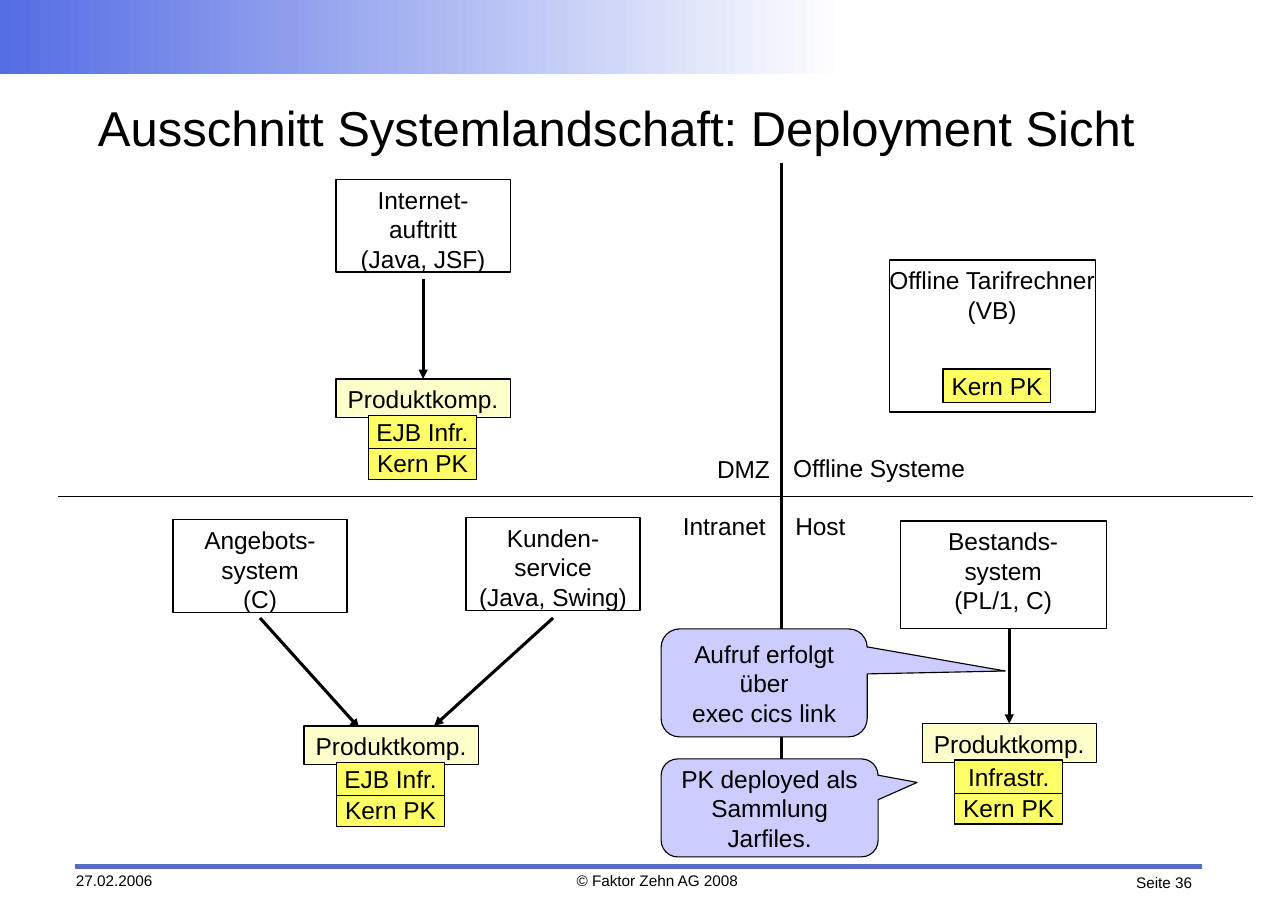
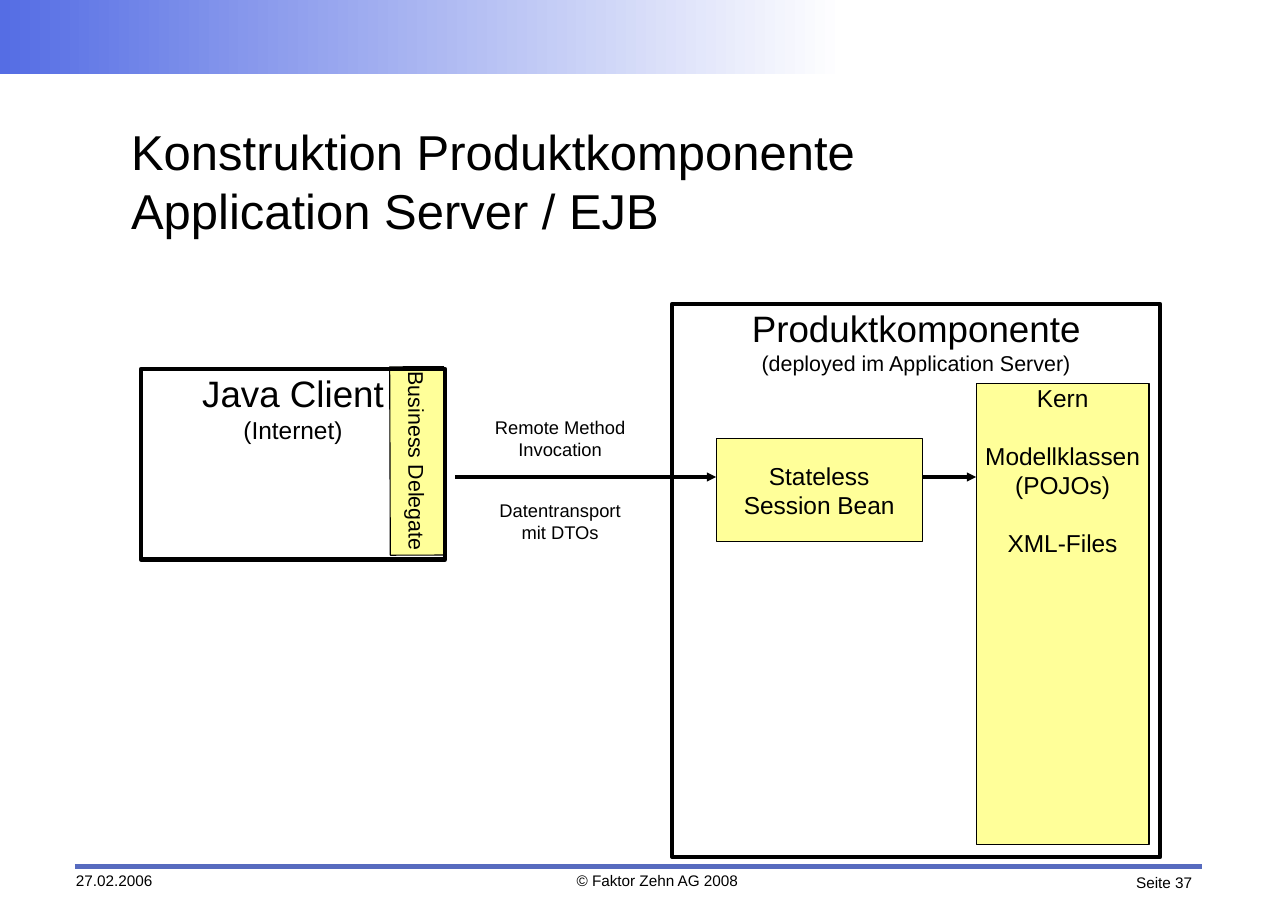
import pptx
import pptx.dml.color
import pptx.enum.shapes
import pptx.enum.text
import pptx.oxml.ns
import pptx.util
import lxml.etree

RGB = pptx.dml.color.RGBColor
BLACK = RGB(0x00, 0x00, 0x00)
WHITE = RGB(0xFF, 0xFF, 0xFF)
BLUE = RGB(0x55, 0x6D, 0xE4)
RULE = RGB(0x57, 0x6B, 0xBF)
LILAC = RGB(0xCC, 0xCC, 0xFF)
CREAM = RGB(0xFF, 0xFF, 0xCC)
YELLOW = RGB(0xFF, 0xFF, 0x66)
PALE = RGB(0xFF, 0xFF, 0x99)

FONT = "Arial"
WIDE, HIGH = 11.69, 8.27
HAIR, THIN, THICK = 0, 0.75, 2.83
PAD, SLIM, NONE = (0.1, 0.05), (0.02, 0.02), (0, 0)

KIND = pptx.enum.shapes.MSO_SHAPE
LEFT = pptx.enum.text.PP_ALIGN.LEFT
MID = pptx.enum.text.PP_ALIGN.CENTER
RIGHT = pptx.enum.text.PP_ALIGN.RIGHT
TOP = pptx.enum.text.MSO_ANCHOR.TOP
CORE = pptx.enum.text.MSO_ANCHOR.MIDDLE


# All places and sizes are percent of the slide's width and height
def across(share):
    return pptx.util.Inches(share * WIDE / 100)


def down(share):
    return pptx.util.Inches(share * HIGH / 100)


def frame(box):
    x, y, w, h = box
    return across(x), down(y), across(w), down(h)


def within(box, x, y, w, h):
    return box[0] + x, box[1] + y, w, h


def write(shape, lines, size=16, align=MID, anchor=TOP, pad=NONE, wrap=True):
    """Fill a shape; a line is a text or (text, size, space before)."""
    text = shape.text_frame
    text.word_wrap = wrap
    text.vertical_anchor = anchor
    text.margin_left = text.margin_right = pptx.util.Inches(pad[0])
    text.margin_top = text.margin_bottom = pptx.util.Inches(pad[1])
    for num, line in enumerate(lines):
        words, points, gap = (line, size, 0) if isinstance(line, str) else line
        para = text.paragraphs[0] if num == 0 else text.add_paragraph()
        para.text = words
        para.alignment = align
        para.font.name = FONT
        para.font.size = pptx.util.Pt(points)
        para.font.color.rgb = BLACK
        if gap:
            para.space_before = pptx.util.Pt(gap)


def label(slide, box, lines, **style):
    write(slide.shapes.add_textbox(*frame(box)), lines, **style)


def block(slide, box, lines, fill=None, line=HAIR, kind=KIND.RECTANGLE, **style):
    shape = slide.shapes.add_shape(kind, *frame(box))
    shape.shadow.inherit = False
    if fill is None:
        shape.fill.background()
    else:
        shape.fill.solid()
        shape.fill.fore_color.rgb = fill
    shape.line.color.rgb = BLACK
    shape.line.width = pptx.util.Pt(line)
    write(shape, lines, **style)
    return shape


def stroke(slide, start, end, color=BLACK, width=HAIR, head=False, goal=None):
    """Draw a line; goal is a block whose top centre it joins."""
    line = slide.shapes.add_connector(
        pptx.enum.shapes.MSO_CONNECTOR.STRAIGHT,
        across(start[0]), down(start[1]), across(end[0]), down(end[1]))
    line.line.color.rgb = color
    line.line.width = pptx.util.Pt(width)
    name = pptx.oxml.ns.qn
    props = line._element.spPr
    if head:
        lxml.etree.SubElement(props.find(name("a:ln")), name("a:tailEnd"), type="triangle")
    lxml.etree.SubElement(props, name("a:effectLst"))
    if goal is not None:
        line.end_connect(goal, 0)


# Shared parts: band, rule, footer and title
def base(deck, page, box, title):
    slide = deck.slides.add_slide(deck.slide_layouts[6])
    band = slide.shapes.add_shape(KIND.RECTANGLE, *frame((0, 0, 65.6, 8.1)))
    band.shadow.inherit = False
    band.line.fill.background()
    band.fill.gradient()
    band.fill.gradient_angle = 0
    for stop, color in zip(band.fill.gradient_stops, (BLUE, WHITE)):
        stop.color.rgb = color
    stroke(slide, (5.82, 95.1), (93.33, 95.1), RULE, THICK)
    for place, words, align in (
            ((5.9, 95.65, 10, 2.4), "27.02.2006", LEFT),
            ((44.14, 95.65, 13.77, 2.4), "© Faktor Zehn AG 2008", MID),
            ((86.55, 95.9, 6, 2.4), f"Seite {page}", RIGHT)):
        label(slide, place, [words], size=10, align=align)
    label(slide, box, title, size=32, align=LEFT, anchor=CORE)
    return slide


# Four zones split by a cross, each named next to the crossing
def zones(slide, box):
    x, y, w, h = box
    mid_x, mid_y = x + 56.12, y + 36.63
    stroke(slide, (x, mid_y), (x + w, mid_y), width=THIN)
    stroke(slide, (mid_x, y), (mid_x, y + h))
    for name, dx, dy, wide in (
            ("Intranet", -8.47, 0.97, 8.73), ("DMZ", -5.82, -5.32, 6.24),
            ("Host", 0.26, 0.97, 15.83), ("Offline Systeme", 0.09, -5.44, 15.83)):
        label(slide, (mid_x + dx, mid_y + dy, wide, 4.23), [name],
              align=LEFT, pad=PAD, wrap=False)


def system(slide, box, lines):
    block(slide, box, lines, line=THIN, pad=PAD, wrap=False)


def kernel(slide, box, name="Kern PK"):
    block(slide, box, [name], YELLOW, anchor=CORE, wrap=False)


# Product component: head with two layers hanging below it
def stack(slide, box, infra):
    head = block(slide, within(box, 0, 0, box[2], 4.23), ["Produktkomp."],
                 CREAM, THIN, pad=PAD, wrap=False)
    for name, dy in (("Kern PK", 7.38), (infra, 3.99)):
        kernel(slide, within(box, 2.53, dy, 8.38, 3.63), name)
    return head


def bubble(slide, box, lines, tip):
    shape = block(slide, box, lines, LILAC,
                  kind=KIND.ROUNDED_RECTANGULAR_CALLOUT, anchor=CORE)
    for num, value in enumerate((*tip, 0.17)):
        shape.adjustments[num] = value


def deploy(deck):
    slide = base(deck, 36, (7.61, 9.55, 85.03, 8.71),
                 ["Ausschnitt Systemlandschaft: Deployment Sicht"])
    zones(slide, (4.53, 17.9, 92.73, 76.17))
    for box, lines in (
            ((13.43, 57.07, 13.52, 10.16), ["Angebots-", "system", "(C)"]),
            ((26.09, 19.71, 13.52, 10.16), ["Internet-", "auftritt", "(Java, JSF)"]),
            ((36.18, 56.83, 13.52, 10.16), ["Kunden-", "service", "(Java, Swing)"]),
            ((69.89, 57.19, 16, 11.85), ["Bestands-", "system", "(PL/1, C)"]),
            ((69.03, 28.54, 16, 16.69), ["Offline Tarifrechner", "(VB)"])):
        system(slide, box, lines)
    kernel(slide, (73.22, 40.51, 8.38, 3.63))

    # Calls into the components
    stroke(slide, (20.19, 67.84), (27.89, 79.93), head=True)
    stroke(slide, (42.94, 67.84), (33.7, 79.69), head=True)
    stack(slide, (23.61, 79.69, 13.52, 11), "EJB Infr.")
    web = stack(slide, (26.09, 41.6, 13.52, 11), "EJB Infr.")
    host = stack(slide, (71.6, 79.44, 13.52, 11), "Infrastr.")
    stroke(slide, (32.85, 30.59), (32.85, 41.6), head=True, goal=web)
    stroke(slide, (78.36, 69.04), (78.36, 79.44), head=True, goal=host)

    # Remarks
    bubble(slide, (51.33, 69.04, 16, 11.85),
           ["Aufruf erfolgt über", "exec cics link"], (1.17, -0.11))
    bubble(slide, (51.33, 83.31, 16.85, 10.76),
           ["PK deployed als", "Sammlung Jarfiles."], (0.68, -0.26))


# Client with its delegate turned upright at the right edge
def client(slide, box):
    side = block(slide, within(box, 14.11, 7.13, 14.63, 5.93),
                 ["Business Delegate"], PALE, size=14, anchor=CORE, wrap=False)
    side.rotation = 89.8
    block(slide, box, ["Java Client", ("(Internet)", 16, 0)],
          line=THICK, size=24, pad=SLIM)


# Component with session bean and kernel classes
def server(slide, box):
    block(slide, box, ["Produktkomponente", ("(deployed im Application Server)", 14, 0)],
          line=THICK, size=24, pad=SLIM)
    block(slide, within(box, 23.61, 8.71, 13.43, 50.67),
          ["Kern", ("Modellklassen", 16, 18.4), "(POJOs)", ("XML-Files", 16, 18.4)],
          PALE)
    block(slide, within(box, 3.42, 14.76, 16, 11.37),
          ["Stateless", "Session Bean"], PALE, anchor=CORE)
    y = box[1] + 18.99
    stroke(slide, (box[0] + 19.42, y), (box[0] + 23.61, y), head=True)


# Remote call: arrow with a remark above and below
def remote(slide, box):
    x, y, w, h = box
    mid = y + h / 2
    stroke(slide, (x, mid), (x + w, mid), head=True)
    label(slide, (x + 2.91, y, 10.52, 4.72), ["Remote Method Invocation"], size=12)
    label(slide, (x + 2.91, mid + 2.42, 10.52, 4.72),
          ["Datentransport", "mit DTOs"], size=12)


def build(deck):
    slide = base(deck, 37, (10.18, 11.49, 79.64, 16.57),
                 ["Konstruktion Produktkomponente", "Application Server / EJB"])
    server(slide, (52.18, 33.37, 37.9, 60.7))
    client(slide, (10.95, 40.51, 23.61, 20.92))
    remote(slide, (35.33, 45.71, 20.27, 13.3))


def main():
    deck = pptx.Presentation()
    deck.slide_width = pptx.util.Inches(WIDE)
    deck.slide_height = pptx.util.Inches(HIGH)
    deploy(deck)
    build(deck)
    deck.save("out.pptx")


if __name__ == "__main__":
    main()
